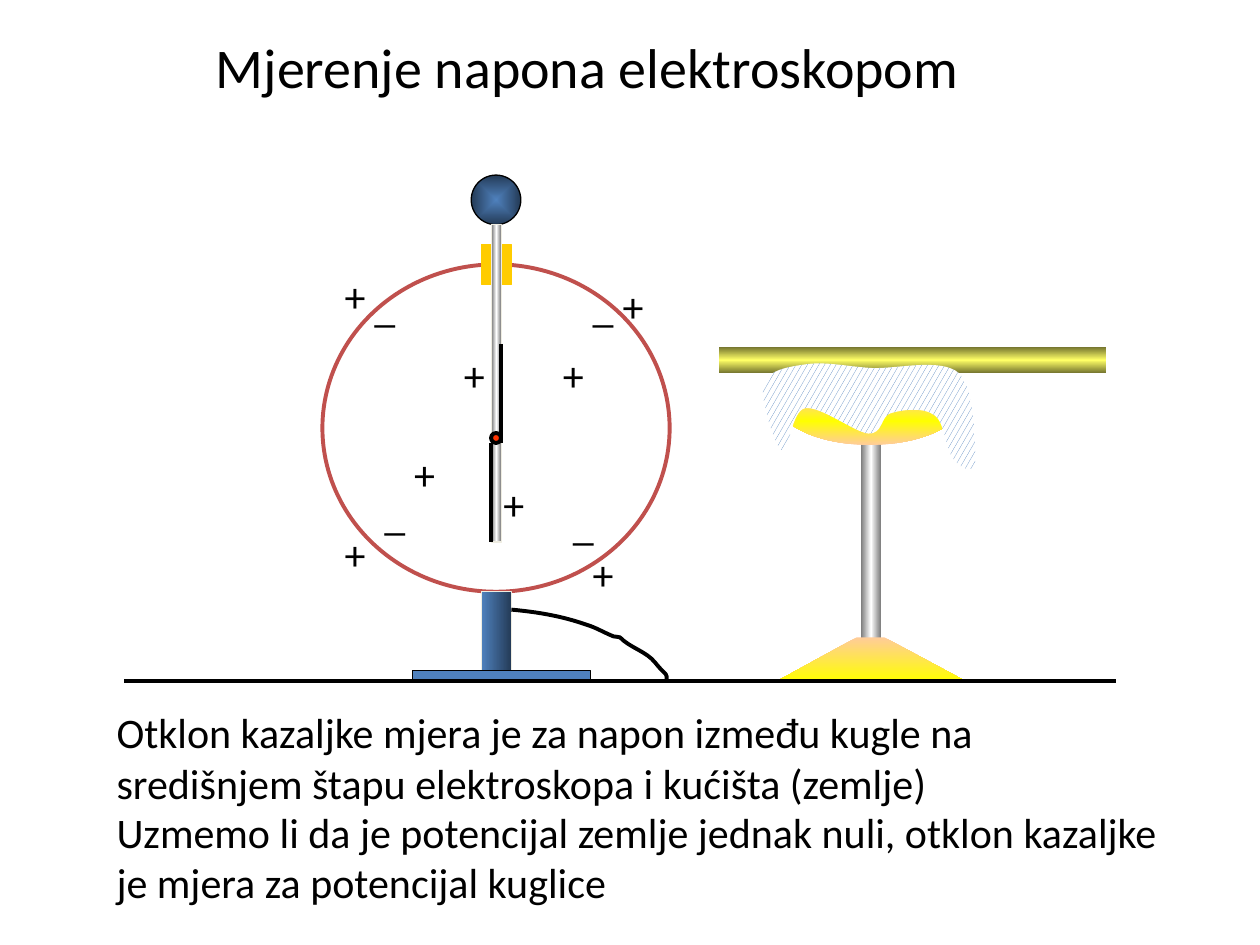
from typing import NamedTuple, Optional, Union

from lxml.etree import SubElement
from pptx import Presentation
from pptx.dml.color import RGBColor
from pptx.enum.dml import MSO_PATTERN
from pptx.enum.shapes import MSO_CONNECTOR, MSO_SHAPE as Shape
from pptx.enum.text import MSO_AUTO_SIZE
from pptx.oxml.ns import qn
from pptx.util import Cm, Pt

COLORS = {
    "black": "000000", "white": "FFFFFF", "ring": "C0504D", "blue": "4F81BD",
    "navy": "243B57", "cream": "EEECE1", "amber": "FFCC00", "red": "FF3300",
    "olive": "76762F", "lemon": "FFFF66", "silver": "767676",
    "yellow": "FFFF00", "peach": "FFCC99",
}
FONT = "Calibri"
GROUND_Y = 13.72
Point = tuple[float, float]


class Gradient(NamedTuple):
    colors: tuple[str, ...]
    angle: int = 0
    radial: bool = False


class Part(NamedTuple):
    kind: Shape
    x: float
    y: float
    w: float
    h: float
    fill: Union[str, Gradient, None] = None
    line: Optional[str] = None
    width: float = 0.75


class Label(NamedTuple):
    text: str
    x: float
    y: float
    w: float = 0.94
    h: float = 1.27
    size: int = 24
    wrap: bool = False


METAL = Gradient(("silver", "white", "silver"))

ELECTROSCOPE = [
    Part(Shape.OVAL, 6.5, 5.33, 7, 6.6, None, "ring", 2.25),
    Part(Shape.RECTANGLE, 9.71, 11.92, 0.6, 1.6, Gradient(("blue", "navy")), "cream"),
    Part(Shape.RECTANGLE, 8.31, 13.52, 3.6, 0.2, "blue", "black"),
    Part(Shape.RECTANGLE, 9.71, 4.93, 0.6, 0.8, "amber", "amber"),
    Part(Shape.OVAL, 9.5, 3.53, 1, 1, Gradient(("blue", "navy"), radial=True), "black"),
]
BAR = Part(Shape.RECTANGLE, 14.5, 7, 7.8, 0.52, Gradient(("olive", "lemon", "olive"), 90))
POLE = Part(Shape.RECTANGLE, 17.35, 8.9, 0.42, 4.4, METAL)
ROD = Part(Shape.RECTANGLE, 9.91, 4.53, 0.2, 6.4, METAL, "cream")
PIVOT = Part(Shape.OVAL, 9.9, 8.73, 0.2, 0.2, "red", "black", 2.25)

CHARGES = {
    "+": [(9.1, 6.93), (9.9, 9.53), (11.1, 6.93), (8.1, 8.92),
          (12.3, 5.53), (11.7, 10.93), (6.7, 10.53), (6.7, 5.33)],
    "_": [(7.3, 5.53), (7.5, 9.73), (11.7, 5.53), (11.3, 9.93)],
}
TEXTS = [
    Label("Mjerenje napona elektroskopom", 4.1, 0.53, 15.62, 1.63, 32),
    Label("Otklon kazaljke mjera je za napon između kugle na središnjem štapu "
          "elektroskopa i kućišta (zemlje)", 2.1, 14.12, 21.7, 2.31, wrap=True),
    Label("Uzmemo li da je potencijal zemlje jednak nuli, otklon kazaljke je "
          "mjera za potencijal kuglice", 2.1, 16.13, 21.7, 2.31, wrap=True),
]

# Bezier paths: a start point, then two controls and an end for each segment.
WIRE = [
    (10.31, 12.29), (10.85, 12.34), (11.33, 12.42), (11.84, 12.6),
    (12.01, 12.65), (12.17, 12.75), (12.37, 12.83),
    (12.42, 12.83), (12.5, 12.85), (12.5, 12.85),
    (12.7, 13.06), (13.03, 13.13), (13.21, 13.36),
    (13.46, 13.67), (13.44, 13.54), (13.44, GROUND_Y),
]
# The last point of the dish is joined by straight lines.
DISH = [
    (15.65, 8.23), (15.85, 8.66), (16.64, 8.97), (17.53, 8.97),
    (18.54, 8.97), (19.38, 8.59), (19.48, 8.1), (17.53, 8.0),
]
CLOTH = [
    (15.75, 9.07), (15.62, 8.99), (15.32, 8.03), (15.39, 7.75),
    (15.49, 7.44), (15.93, 7.39), (16.28, 7.34),
    (16.66, 7.29), (17.09, 7.39), (17.58, 7.42),
    (18.08, 7.44), (18.97, 7.21), (19.33, 7.52),
    (19.66, 7.82), (19.66, 9.02), (19.66, 9.3),
    (19.63, 9.6), (19.35, 9.42), (19.23, 9.27),
    (19.08, 9.12), (19.05, 8.53), (18.85, 8.38),
    (18.62, 8.2), (18.19, 8.26), (17.96, 8.33),
    (17.75, 8.38), (17.81, 8.76), (17.5, 8.74),
    (17.22, 8.71), (16.54, 8.18), (16.23, 8.23),
    (15.95, 8.28), (15.9, 9.17), (15.75, 9.07),
]
FOOT = [(17.27, 12.85), (15.65, 13.74), (19.48, 13.74), (17.83, 12.85)]


def rgb(name: str) -> RGBColor:
    return RGBColor.from_string(COLORS[name])


def set_gradient(sp, grad: Gradient) -> None:
    sp.fill.gradient()
    el = sp._element.spPr.find(qn("a:gradFill"))
    for child in list(el):
        el.remove(child)
    stops = SubElement(el, qn("a:gsLst"))
    for i, name in enumerate(grad.colors):
        stop = SubElement(stops, qn("a:gs"), pos=str(100000 * i // (len(grad.colors) - 1)))
        SubElement(stop, qn("a:srgbClr"), val=COLORS[name])
    if grad.radial:
        way = SubElement(el, qn("a:path"), path="shape")
        SubElement(way, qn("a:fillToRect"), dict.fromkeys("ltrb", "50000"))
    else:
        SubElement(el, qn("a:lin"), ang=str(grad.angle * 60000), scaled="1")


def paint(sp, fill: Union[str, Gradient, None], line: Optional[str] = None,
          width: float = 0.75) -> None:
    sp.shadow.inherit = False
    if isinstance(fill, Gradient):
        set_gradient(sp, fill)
    elif fill:
        sp.fill.solid()
        sp.fill.fore_color.rgb = rgb(fill)
    else:
        sp.fill.background()
    if line:
        sp.line.color.rgb = rgb(line)
        sp.line.width = Pt(width)
    else:
        sp.line.fill.background()


def add_part(shapes, part: Part) -> None:
    sp = shapes.add_shape(part.kind, Cm(part.x), Cm(part.y), Cm(part.w), Cm(part.h))
    paint(sp, part.fill, part.line, part.width)


def add_label(shapes, label: Label) -> None:
    tf = shapes.add_textbox(Cm(label.x), Cm(label.y), Cm(label.w), Cm(label.h)).text_frame
    tf.word_wrap = label.wrap
    tf.auto_size = MSO_AUTO_SIZE.SHAPE_TO_FIT_TEXT
    p = tf.paragraphs[0]
    p.text = label.text
    p.font.name, p.font.size = FONT, Pt(label.size)
    p.font.color.rgb = rgb("black")


def add_line(shapes, x1: float, y1: float, x2: float, y2: float) -> None:
    cxn = shapes.add_connector(MSO_CONNECTOR.STRAIGHT, Cm(x1), Cm(y1), Cm(x2), Cm(y2))
    cxn.line.color.rgb = rgb("black")
    cxn.line.width = Pt(2.25)
    SubElement(cxn._element.spPr, qn("a:effectLst"))


def add_outline(shapes, points: list[Point], close: bool = True):
    start, *rest = [(Cm(x), Cm(y)) for x, y in points]
    builder = shapes.build_freeform(*start)
    builder.add_line_segments(rest, close=close)
    return builder.convert_to_shape()


def add_curve(shapes, points: list[Point], close: bool = True):
    """Turn each full group of three segments into one cubic Bezier."""
    sp = add_outline(shapes, points, close)
    segments = list(sp._element.iter(qn("a:lnTo")))
    for i in range(0, len(segments) - 2, 3):
        first, *others = segments[i:i + 3]
        curve = first.makeelement(qn("a:cubicBezTo"))
        first.addprevious(curve)
        for segment in (first, *others):
            curve.append(segment[0])
            segment.getparent().remove(segment)
    return sp


def main() -> None:
    prs = Presentation()
    prs.slide_width, prs.slide_height = Cm(25.4), Cm(19.05)
    shapes = prs.slides.add_slide(prs.slide_layouts[6]).shapes

    for part in ELECTROSCOPE:
        add_part(shapes, part)
    for sign, places in CHARGES.items():
        for x, y in places:
            add_label(shapes, Label(sign, x, y))
    paint(add_curve(shapes, WIRE, close=False), None, "black", 2.25)
    for label in TEXTS[:2]:
        add_label(shapes, label)

    add_part(shapes, BAR)
    add_part(shapes, POLE)
    paint(add_curve(shapes, DISH), Gradient(("yellow", "peach"), radial=True))
    paint(add_outline(shapes, FOOT), Gradient(("peach", "yellow"), 90))
    cloth = add_curve(shapes, CLOTH)
    paint(cloth, None)
    cloth.fill.patterned()
    cloth.fill.pattern = MSO_PATTERN.LARGE_CONFETTI
    cloth.fill.fore_color.rgb, cloth.fill.back_color.rgb = rgb("blue"), rgb("white")

    add_line(shapes, 2.5, GROUND_Y, 22.5, GROUND_Y)
    add_label(shapes, TEXTS[2])
    add_part(shapes, ROD)
    add_line(shapes, 10.1, 6.93, 10.1, 8.93)
    add_line(shapes, 9.9, 8.93, 9.9, 10.93)
    add_part(shapes, PIVOT)
    prs.save("out.pptx")


if __name__ == "__main__":
    main()
